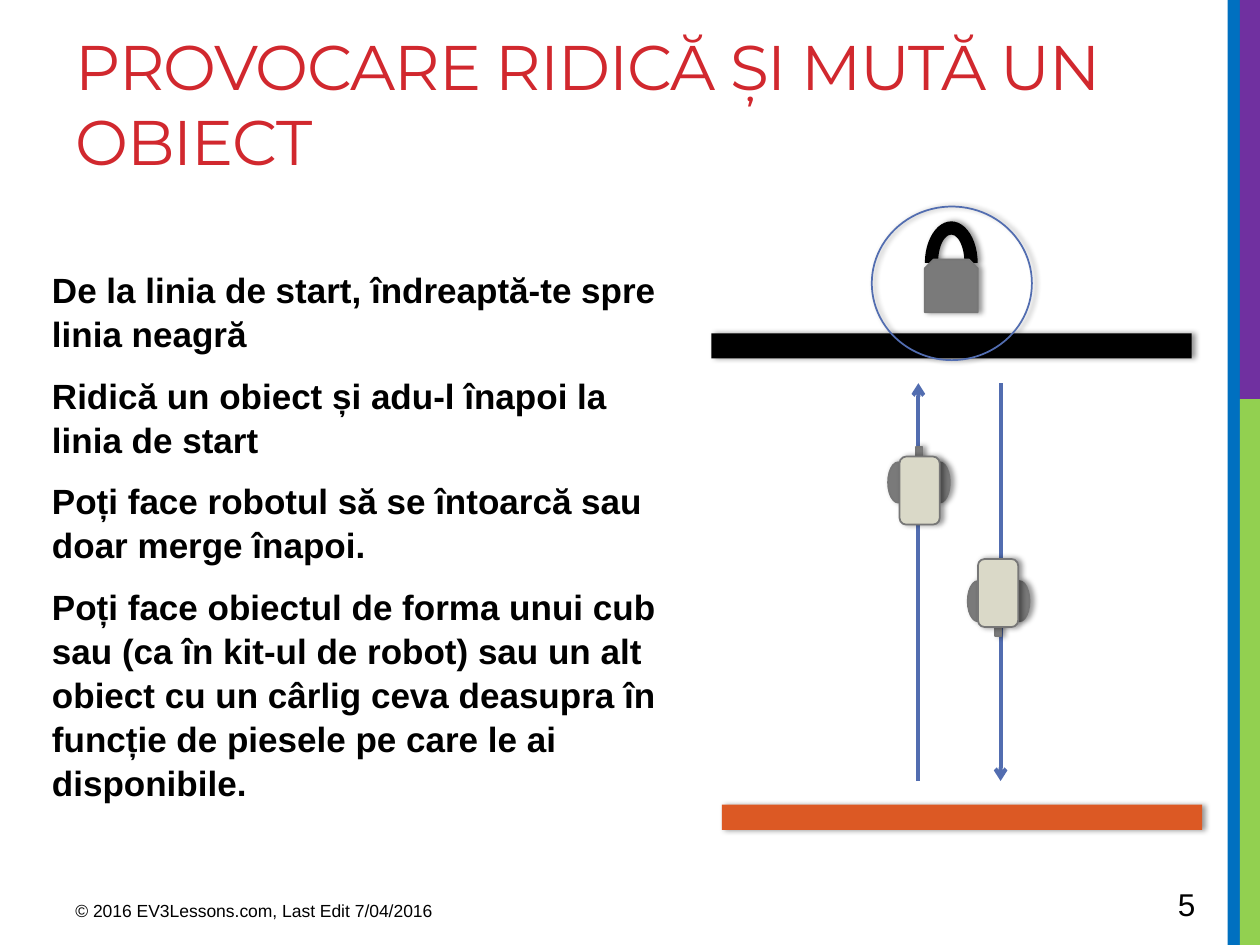
from lxml import etree
from pptx import Presentation
from pptx.dml.color import RGBColor
from pptx.enum import shapes, text
from pptx.oxml import ns
from pptx.util import Pt

RED = RGBColor(0xD1, 0x28, 0x2E)
BLACK = RGBColor(0, 0, 0)
BLUE = RGBColor(0x00, 0x70, 0xC0)
GREEN = RGBColor(0x92, 0xD0, 0x50)
PURPLE = RGBColor(0x70, 0x30, 0xA0)
ORANGE = RGBColor(0xDC, 0x59, 0x24)
GRAY = RGBColor(0x7A, 0x7A, 0x7A)
EDGE = RGBColor(0x77, 0x77, 0x77)
BEIGE = RGBColor(0xDA, 0xD9, 0xC8)
STEEL = RGBColor(0x52, 0x6D, 0xB0)
KIND = shapes.MSO_SHAPE

SHADE = (
    '<a:effectLst xmlns:a="http://schemas.openxmlformats.org/drawingml/2006/main">'
    '<a:outerShdw blurRad="39370" dist="22860" dir="0" rotWithShape="0">'
    '<a:srgbClr val="000000"><a:alpha val="40000"/></a:srgbClr>'
    '</a:outerShdw></a:effectLst>'
)


def draw(home, kind, box, fill=None, line=None, shade=True, turn=0):
    shape = home.add_shape(kind, *map(Pt, box))
    shape.rotation = turn
    shape.shadow.inherit = False
    if fill is None:
        shape.fill.background()
    else:
        shape.fill.solid()
        shape.fill.fore_color.rgb = fill
    if line is None:
        shape.line.fill.background()
    else:
        shape.line.color.rgb = line
        shape.line.width = Pt(1)
    if shade:
        props = shape._element.spPr
        props.remove(props.find(ns.qn("a:effectLst")))
        props.append(etree.fromstring(SHADE))


def write(shape, lines, face, size, color, bold=False, gaps=None):
    frame = shape.text_frame
    frame.word_wrap = True
    frame.auto_size = text.MSO_AUTO_SIZE.NONE
    frame.vertical_anchor = text.MSO_ANCHOR.TOP
    for i, words in enumerate(lines):
        para = frame.paragraphs[0] if i == 0 else frame.add_paragraph()
        para.alignment = text.PP_ALIGN.LEFT
        for key, value in (gaps or {}).items():
            setattr(para, key, value)
        if i == 0:
            para.space_before = Pt(0)
        run = para.add_run()
        run.text = words
        look = {"name": face, "size": Pt(size), "bold": bold}
        for key, value in look.items():
            setattr(run.font, key, value)
        run.font.color.rgb = color


deck = Presentation()
deck.slide_width, deck.slide_height = Pt(720), Pt(540)
slide = deck.slides.add_slide(deck.slide_layouts[1])
parts = slide.shapes
title, body = slide.placeholders

# Side stripes
for box, color in (
    ((701.5, 0, 7.5, 540), BLUE),
    ((708.5, 228, 11.5, 312), GREEN),
    ((708.5, 0, 11.5, 228), PURPLE),
):
    draw(parts, KIND.RECTANGLE, box, color, shade=False)

# Title and task list
for holder, box in ((title, (36, 12, 649.5, 108)), (body, (22.5, 148.5, 372, 314.5))):
    holder.left, holder.top, holder.width, holder.height = map(Pt, box)
write(title, ["PROVOCARE RIDICĂ ȘI MUTĂ UN OBIECT"], "Montserrat", 36, RED)
title.text_frame.paragraphs[0].runs[0].font._element.set("spc", "-60")

tasks = [
    "De la linia de start, îndreaptă-te spre linia neagră",
    "Ridică un obiect și adu-l înapoi la linia de start",
    "Poți face robotul să se întoarcă sau doar merge înapoi.",
    "Poți face obiectul de forma unui cub sau (ca în kit-ul de robot) sau un alt "
    "obiect cu un cârlig ceva deasupra în funcție de piesele pe care le ai disponibile.",
]
gaps = {"space_before": Pt(4), "space_after": Pt(6), "line_spacing": 1.05}
write(body, tasks, "Arial", 20, BLACK, True, gaps)
for para in body.text_frame.paragraphs:
    props = para._p.get_or_add_pPr()
    props.set("marL", "0")
    props.set("indent", "0")
    etree.SubElement(props, ns.qn("a:buNone"))

# Footer and page number
for words, size, box in (
    ("© 2016 EV3Lessons.com, Last Edit 7/04/2016", 10, (36, 511, 270, 22.5)),
    ("5", 18, (666, 502, 49.5, 29)),
):
    write(parts.add_textbox(*map(Pt, box)), [words], "Arial", size, BLACK)

# Goal line, start line and the object to lift
draw(parts, KIND.RECTANGLE, (406.5, 190.5, 274.5, 14.4), BLACK)
draw(parts, KIND.RECTANGLE, (412.5, 459.8, 274.5, 14.4), ORANGE)
draw(parts, KIND.BLOCK_ARC, (528.5, 126.5, 30.2, 47.5), BLACK)
draw(parts, KIND.SNIP_2_SAME_RECTANGLE, (528.5, 148.3, 30.2, 30.2), GRAY, EDGE)

# Paths out and back
top, low = 219, 446.3
for x, start, end in ((524.8, low, top), (571.8, top, low)):
    way = parts.add_connector(shapes.MSO_CONNECTOR.STRAIGHT, *map(Pt, (x, start, x, end)))
    way.line.color.rgb = STEEL
    way.line.width = Pt(2.25)
    etree.SubElement(way.line._get_or_add_ln(), ns.qn("a:tailEnd"), type="arrow")
    etree.SubElement(way._element.spPr, ns.qn("a:effectLst"))

# Ring around the object
draw(parts, KIND.OVAL, (498.2, 118, 91.5, 87.8), line=STEEL)

# Robots: the second is the first turned by half about a shared centre
robot = (
    (KIND.OVAL, (507.5, 264.2, 11.5, 23), GRAY),
    (KIND.OVAL, (531.3, 264.2, 11.5, 23), GRAY),
    (KIND.RECTANGLE, (523.5, 255.6, 3.6, 10), GRAY),
    (KIND.ROUNDED_RECTANGLE, (514, 260.9, 23, 38.9), BEIGE),
)
mid_x, mid_y = 547.9, 309.6
for turn in (0, 180):
    group = parts.add_group_shape().shapes
    for kind, (x, y, wide, high), color in robot:
        if turn:
            x, y = 2 * mid_x - x - wide, 2 * mid_y - y - high
        draw(group, kind, (x, y, wide, high), color, EDGE, turn=turn)

deck.save("out.pptx")
